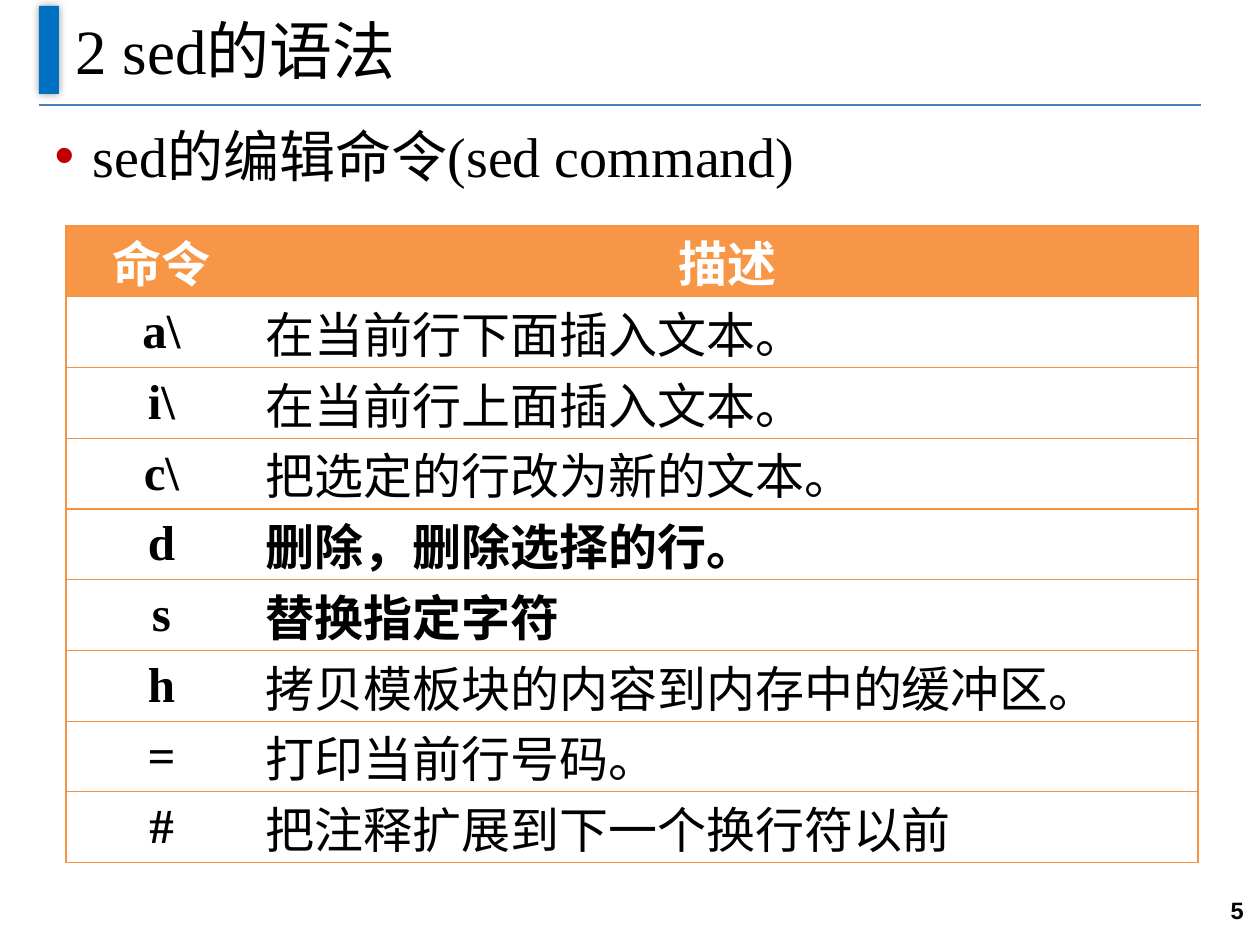
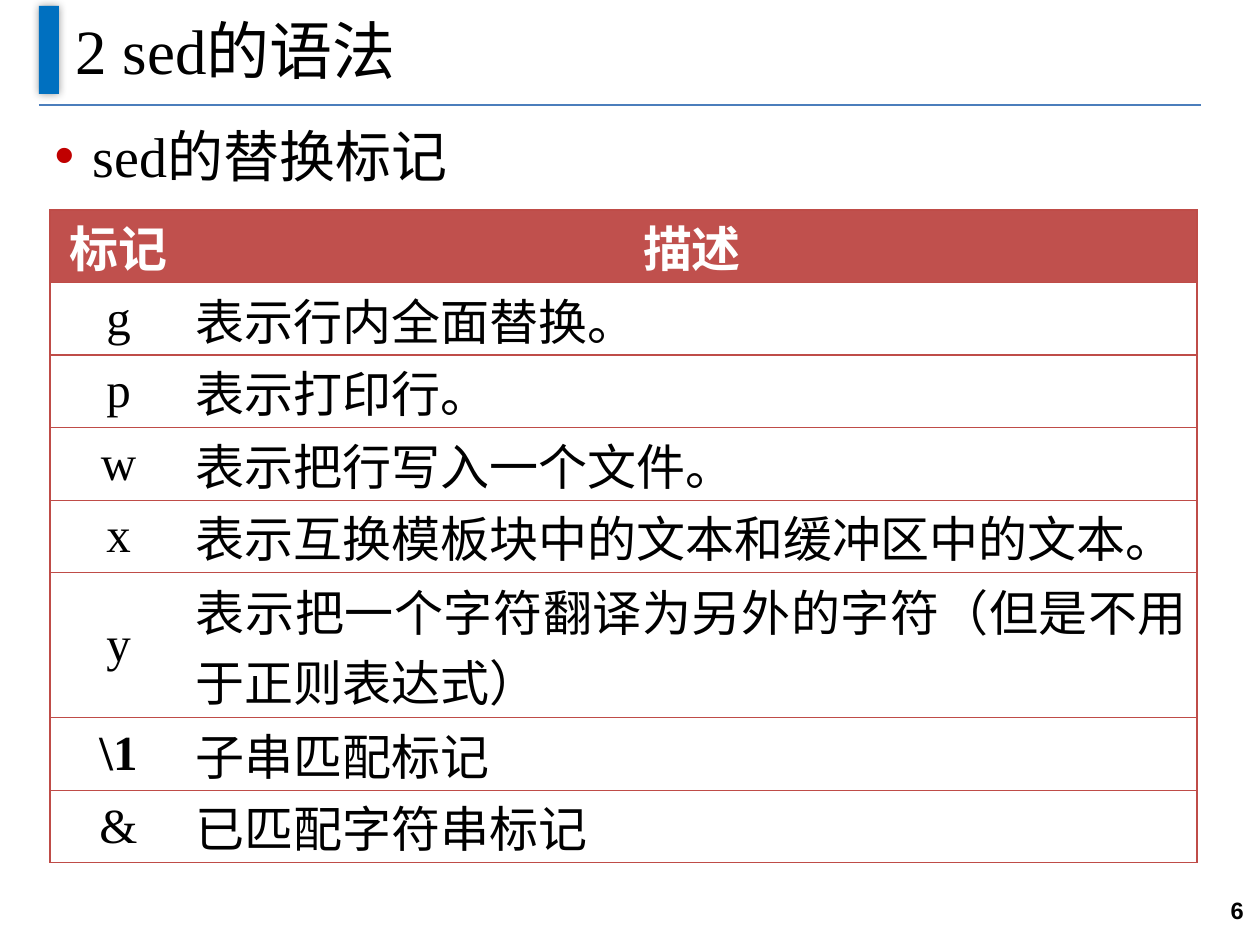
from typing import NamedTuple

from lxml import etree
from pptx import Presentation
from pptx import util as u
from pptx.dml.color import RGBColor
from pptx.enum import shapes, text
from pptx.oxml import ns

EMU_PER_PX = 914400 / 126

BLACK = RGBColor(0x00, 0x00, 0x00)
WHITE = RGBColor(0xFF, 0xFF, 0xFF)
BAR_BLUE = RGBColor(0x00, 0x70, 0xC0)
RULE_BLUE = RGBColor(0x4B, 0x7E, 0xBC)
BULLET_RED = RGBColor(0xC0, 0x00, 0x00)
ORANGE = RGBColor(0xF7, 0x96, 0x46)
ORANGE_BORDER = RGBColor(0xF6, 0x92, 0x40)
RED = RGBColor(0xC0, 0x50, 0x4D)
RED_BORDER = RGBColor(0xBF, 0x4C, 0x48)

SERIF = "Times New Roman"
SANS = "Arial"
PLAIN_TABLE_STYLE = "{2D5ABB26-0587-4C30-8999-92F81FD0307C}"
TITLE = "2 sed的语法"


class Box(NamedTuple):
    left: int
    top: int
    width: int
    height: int


class Row(NamedTuple):
    mark: str
    description: str
    mark_bold: bool = True
    description_bold: bool = False
    lines: int = 1


class Page(NamedTuple):
    number: int
    heading: str
    box: Box
    mark_width: int
    header_fill: RGBColor
    border: RGBColor
    rows: list[Row]


TITLE_BOX = Box(63, -4, 1134, 106)
BODY_BOX = Box(42, 115, 1157, 799)
NUMBER_BOX = Box(1139, 876, 117, 69)
BAR_BOX = Box(39, 6, 20, 88)

PAGES = [
    Page(5, "sed的编辑命令(sed command)", Box(66, 226, 1132, 637), 191,
         ORANGE, ORANGE_BORDER, [
             Row("命令", "描述", description_bold=True),
             Row("a\\", "在当前行下面插入文本。"),
             Row("i\\", "在当前行上面插入文本。"),
             Row("c\\", "把选定的行改为新的文本。"),
             Row("d", "删除，删除选择的行。", description_bold=True),
             Row("s", "替换指定字符", description_bold=True),
             Row("h", "拷贝模板块的内容到内存中的缓冲区。"),
             Row("=", "打印当前行号码。"),
             Row("#", "把注释扩展到下一个换行符以前"),
         ]),
    Page(6, "sed的替换标记", Box(50, 210, 1147, 653), 137,
         RED, RED_BORDER, [
             Row("标记", "描述", description_bold=True),
             Row("g", "表示行内全面替换。", mark_bold=False),
             Row("p", "表示打印行。", mark_bold=False),
             Row("w", "表示把行写入一个文件。", mark_bold=False),
             Row("x", "表示互换模板块中的文本和缓冲区中的文本。", mark_bold=False),
             Row("y", "表示把一个字符翻译为另外的字符（但是不用于正则表达式）",
                 mark_bold=False, lines=2),
             Row("\\1", "子串匹配标记"),
             Row("&", "已匹配字符串标记", mark_bold=False),
         ]),
]


def px(length: float) -> int:
    return round(length * EMU_PER_PX)


def scaled(box: Box) -> list[int]:
    return [px(length) for length in box]


def place(shape, box: Box) -> None:
    shape.left, shape.top, shape.width, shape.height = scaled(box)


def add_xml(parent, tag: str, **attributes: str):
    child = etree.SubElement(parent, ns.qn(tag))
    for name, value in attributes.items():
        child.set(name, value)
    return child


def write(frame, content: str, size: float, align, color=BLACK,
          bold=False, font=SERIF):
    """Fill a text frame with one formatted paragraph and return it."""
    frame.text = content
    paragraph = frame.paragraphs[0]
    paragraph.alignment = align
    for run in paragraph.runs:
        run.font.name = font
        run.font.size = u.Pt(size)
        run.font.bold = bold
        run.font.color.rgb = color
    return paragraph


def add_title_band(slide) -> None:
    rule = slide.shapes.add_connector(
        shapes.MSO_CONNECTOR.STRAIGHT, px(39), px(105), px(1201), px(105))
    rule.line.color.rgb = RULE_BLUE
    rule.line.width = u.Pt(0.75)
    add_xml(rule.element.spPr, "a:effectLst")

    bar = slide.shapes.add_shape(shapes.MSO_SHAPE.RECTANGLE, *scaled(BAR_BOX))
    bar.fill.solid()
    bar.fill.fore_color.rgb = BAR_BLUE
    bar.line.fill.background()
    effects = add_xml(bar.element.spPr, "a:effectLst")
    shadow = add_xml(effects, "a:outerShdw", blurRad=str(u.Pt(5)), dist="0", dir="0")
    add_xml(add_xml(shadow, "a:srgbClr", val=str(BLACK)), "a:alpha", val="40000")


def add_title(slide) -> None:
    title = slide.shapes.title
    place(title, TITLE_BOX)
    title.text_frame.vertical_anchor = text.MSO_ANCHOR.MIDDLE
    write(title.text_frame, TITLE, 36, text.PP_ALIGN.LEFT)


def add_heading(slide, heading: str) -> None:
    body = slide.placeholders[1]
    place(body, BODY_BOX)
    paragraph = write(body.text_frame, heading, 32, text.PP_ALIGN.JUSTIFY)
    paragraph.space_before = paragraph.space_after = u.Pt(4.5)
    properties = paragraph._p.get_or_add_pPr()
    properties.set("marL", str(px(38)))
    properties.set("indent", str(px(-38)))
    add_xml(add_xml(properties, "a:buClr"), "a:srgbClr", val=str(BULLET_RED))
    add_xml(properties, "a:buFont", typeface=SANS)
    add_xml(properties, "a:buChar", char="•")


def add_page_number(slide, number: int) -> None:
    frame = slide.shapes.add_textbox(*scaled(NUMBER_BOX)).text_frame
    frame.word_wrap = True
    frame.vertical_anchor = text.MSO_ANCHOR.MIDDLE
    write(frame, str(number), 13.5, text.PP_ALIGN.RIGHT, bold=True, font=SANS)


def add_border(cell, side: str, color: RGBColor) -> None:
    line = add_xml(cell._tc.get_or_add_tcPr(), f"a:ln{side}", w=str(u.Pt(0.75)))
    add_xml(add_xml(line, "a:solidFill"), "a:srgbClr", val=str(color))


def fill_cell(cell, content: str, bold: bool, align, sides: str,
              page: Page, is_header: bool) -> None:
    cell.vertical_anchor = text.MSO_ANCHOR.MIDDLE
    cell.margin_left = cell.margin_right = px(9)
    cell.margin_top = cell.margin_bottom = 0
    for side in sides:
        add_border(cell, side, page.border)
    if is_header:
        cell.fill.solid()
        cell.fill.fore_color.rgb = page.header_fill
    else:
        cell.fill.background()
    write(cell.text_frame, content, 28, align, WHITE if is_header else BLACK, bold)


def add_command_table(slide, page: Page) -> None:
    frame = slide.shapes.add_table(len(page.rows), 2, *scaled(page.box))
    next(frame.element.iter(ns.qn("a:tableStyleId"))).text = PLAIN_TABLE_STYLE
    table = frame.table
    table.horz_banding = False
    table.columns[0].width = px(page.mark_width)
    table.columns[1].width = px(page.box.width - page.mark_width)
    line_height = px(page.box.height / sum(row.lines for row in page.rows))
    for index, row in enumerate(page.rows):
        is_header = index == 0
        table.rows[index].height = line_height * row.lines
        fill_cell(table.cell(index, 0), row.mark, row.mark_bold,
                  text.PP_ALIGN.CENTER, "LTB", page, is_header)
        align = text.PP_ALIGN.CENTER if is_header else text.PP_ALIGN.JUSTIFY
        fill_cell(table.cell(index, 1), row.description, row.description_bold,
                  align, "RTB", page, is_header)


def main() -> None:
    presentation = Presentation()
    presentation.slide_width, presentation.slide_height = px(1260), px(945)
    for page in PAGES:
        slide = presentation.slides.add_slide(presentation.slide_layouts[1])
        add_title_band(slide)
        add_title(slide)
        add_page_number(slide, page.number)
        add_heading(slide, page.heading)
        add_command_table(slide, page)
    presentation.save("out.pptx")


if __name__ == "__main__":
    main()
